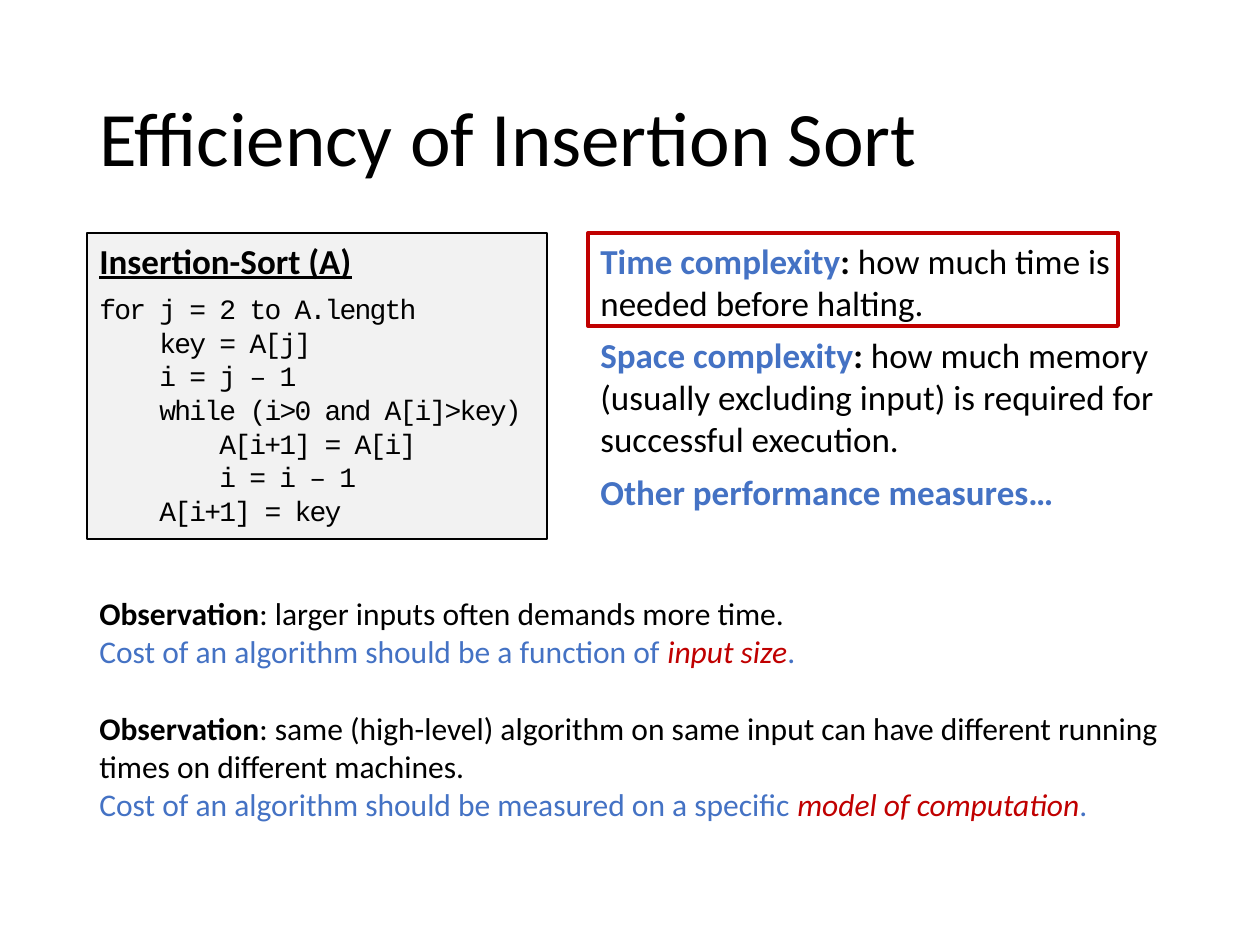
from dataclasses import dataclass

from pptx import Presentation
from pptx.dml.color import RGBColor
from pptx.enum.shapes import MSO_SHAPE
from pptx.enum.text import MSO_ANCHOR, PP_ALIGN
from pptx.util import Emu, Pt

PIXELS_PER_INCH = 126


def px(length):
    """Turn picture pixels into EMU."""
    return Emu(round(length * 914400 / PIXELS_PER_INCH))


@dataclass(frozen=True)
class Theme:
    """Colours, fonts and type sizes of the slide."""
    ink: str = "000000"
    accent: str = "4472C4"
    alert: str = "C00000"
    panel: str = "F2F2F2"
    body_font: str = "Calibri"
    code_font: str = "Courier New"
    title_size: int = 44
    lead_size: int = 20
    note_size: int = 18
    code_size: int = 16


class SlideBuilder:
    """Holds the theme and the current slide and adds elements to it."""

    def __init__(self, slide, theme):
        """Keep the slide and the theme."""
        self.slide = slide
        self.theme = theme

    def run(self, paragraph, text, size, color=None, bold=False, italic=False,
            underline=False, font=None, tracking=0):
        """Add one styled run; tracking is in points."""
        run = paragraph.add_run()
        run.text = text
        style = run.font
        style.name = font or self.theme.body_font
        style.size = Pt(size)
        style.bold, style.italic, style.underline = bold, italic, underline
        style.color.rgb = RGBColor.from_string(color or self.theme.ink)
        if tracking:
            style._element.set("spc", str(tracking * 100))

    def box(self, left, top, width, height, fill=None, line=None, weight=1):
        """Add a rectangle with an optional fill and outline."""
        box = self.slide.shapes.add_shape(
            MSO_SHAPE.RECTANGLE, px(left), px(top), px(width), px(height))
        box.shadow.inherit = False
        if fill:
            box.fill.solid()
            box.fill.fore_color.rgb = RGBColor.from_string(fill)
        else:
            box.fill.background()
        box.line.color.rgb = RGBColor.from_string(line or self.theme.ink)
        box.line.width = Pt(weight)
        return box.text_frame

    def text(self, left, top, width, height, paragraphs, size,
             space_after=0, line_spacing=None, anchor=MSO_ANCHOR.TOP):
        """Add a wrapping text box; each paragraph lists (text, style) runs."""
        frame = self.slide.shapes.add_textbox(
            px(left), px(top), px(width), px(height)).text_frame
        frame.word_wrap = True
        frame.vertical_anchor = anchor
        for index, runs in enumerate(paragraphs):
            paragraph = frame.add_paragraph() if index else frame.paragraphs[0]
            paragraph.space_after = Pt(space_after)
            if line_spacing:
                paragraph.line_spacing = line_spacing
            for words, style in runs:
                self.run(paragraph, words, size, **style)

    def code(self, left, top, width, height, heading, lines, indent):
        """Add a code panel; each line is an (indent level, text) pair."""
        theme = self.theme
        frame = self.box(left, top, width, height, fill=theme.panel)
        frame.word_wrap = True
        frame.vertical_anchor = MSO_ANCHOR.TOP
        name = frame.paragraphs[0]
        name.alignment = PP_ALIGN.LEFT
        name.space_after = Pt(6)
        self.run(name, heading, theme.lead_size, bold=True, underline=True)
        for level, statement in lines:
            paragraph = frame.add_paragraph()
            paragraph.alignment = PP_ALIGN.LEFT
            paragraph._p.get_or_add_pPr().set("marL", str(px(level * indent)))
            self.run(paragraph, statement, theme.code_size,
                     font=theme.code_font, tracking=-1)

    def observation(self, top, height, finding, lesson, key_term):
        """Add an observation with the lesson drawn from it."""
        accent = {"color": self.theme.accent}
        self.text(LEFT, top, FULL_WIDTH, height, [
            [("Observation", {"bold": True}), (": " + finding, {})],
            [(lesson, accent),
             (key_term, {"color": self.theme.alert, "italic": True}),
             (".", accent)],
        ], self.theme.note_size)


LEFT, FULL_WIDTH = 87, 1086
COLUMN_TOP, MEASURES_LEFT = 233, 588

theme = Theme()
deck = Presentation()
deck.slide_width, deck.slide_height = px(1260), px(945)
builder = SlideBuilder(deck.slides.add_slide(deck.slide_layouts[6]), theme)

builder.text(LEFT, 50, FULL_WIDTH, 183, [[("Efficiency of Insertion Sort", {})]],
             theme.title_size, line_spacing=0.9, anchor=MSO_ANCHOR.MIDDLE)

builder.code(LEFT, COLUMN_TOP, 460, 306, "Insertion-Sort (A)", [
    (0, "for j = 2 to A.length"),
    (1, "key = A[j]"),
    (1, "i = j – 1"),
    (1, "while (i>0 and A[i]>key)"),
    (2, "A[i+1] = A[i]"),
    (2, "i = i – 1"),
    (1, "A[i+1] = key"),
], indent=60)

term = {"color": theme.accent, "bold": True}
builder.text(MEASURES_LEFT, COLUMN_TOP, 586, 289, [
    [("Time complexity", term), (": ", {"bold": True}),
     ("how much time is needed before halting.", {})],
    [("Space complexity", term), (":", {"bold": True}),
     (" how much memory (usually excluding input) is required for "
      "successful execution.", {})],
    [("Other performance measures…", term)],
], theme.lead_size, space_after=6)
builder.box(MEASURES_LEFT, COLUMN_TOP, 530, 93, line=theme.alert, weight=2.25)

builder.observation(588, 89, "larger inputs often demands more time.",
                    "Cost of an algorithm should be a function of ", "input size")
builder.observation(703, 127,
                    "same (high-level) algorithm on same input can have "
                    "different running times on different machines.",
                    "Cost of an algorithm should be measured on a specific ",
                    "model of computation")

deck.save("out.pptx")
